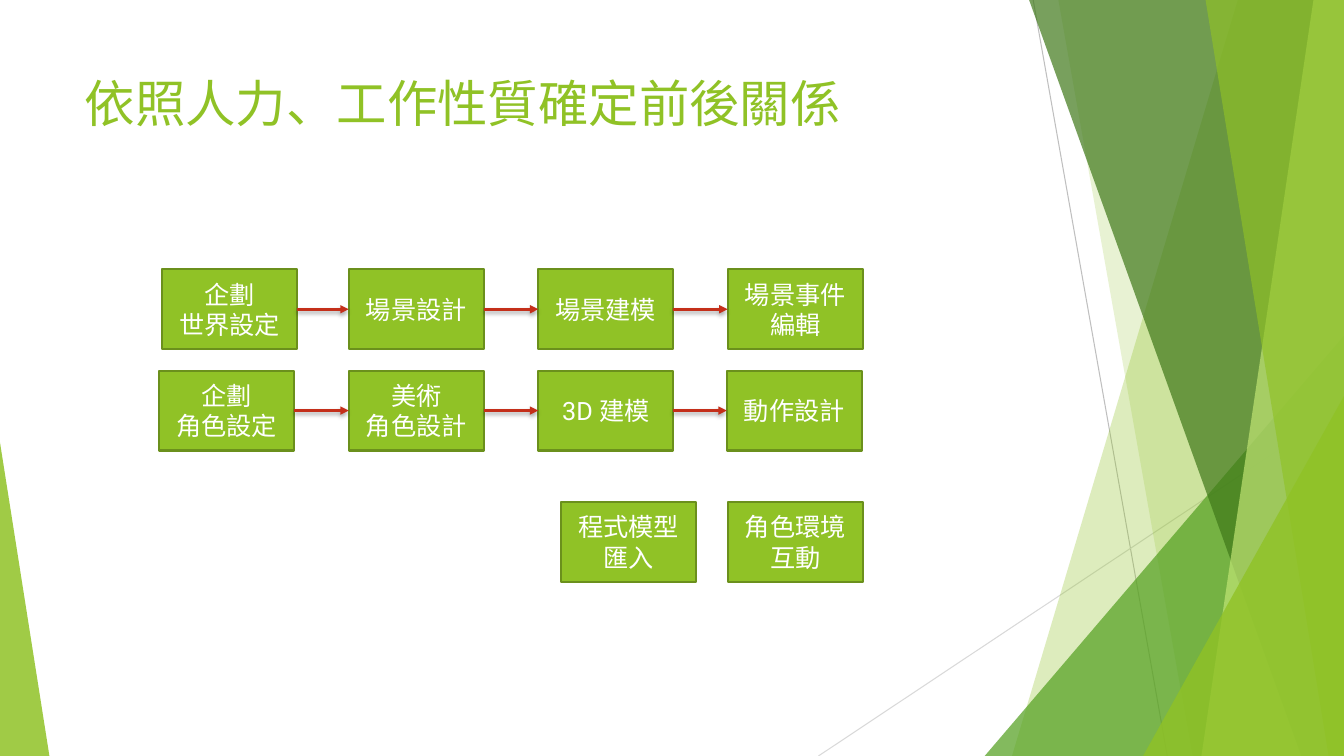
from dataclasses import dataclass
from itertools import pairwise

from lxml.etree import SubElement
from pptx import Presentation
from pptx.dml.color import RGBColor
from pptx.enum.shapes import MSO_CONNECTOR, MSO_SHAPE
from pptx.enum.text import MSO_ANCHOR, PP_ALIGN
from pptx.oxml.ns import qn
from pptx.shapes.autoshape import Shape
from pptx.shapes.connector import Connector
from pptx.slide import Slide
from pptx.util import Pt

COLORS = {
    "green": "90C226",
    "leaf": "54A021",
    "forest": "3F7819",
    "lime": "C0E474",
    "border": "6B901C",
    "arrow": "C42F1A",
    "gray": "BFBFBF",
    "light_gray": "D9D9D9",
    "white": "FFFFFF",
    "black": "000000",
}
FONT = "Roboto"
SLIDE_WIDTH, SLIDE_HEIGHT = 960, 540
BOX_WIDTH, BOX_HEIGHT = 96.5, 57
RIGHT_SIDE, LEFT_SIDE = 3, 1


@dataclass
class Band:
    """A full-height facet reaching the right edge of the slide."""
    top_x: float
    bottom_x: float
    color: str
    opacity: int


@dataclass
class Triangle:
    """A right-angled facet standing on the bottom edge."""
    left: float
    width: float
    height: float
    apex: float
    color: str
    opacity: int


@dataclass
class Ray:
    begin: tuple[float, float]
    end: tuple[float, float]
    color: str


@dataclass
class Task:
    left: float
    text: str


@dataclass
class TaskRow:
    top: float
    tasks: list[Task]
    chained: bool


RAYS = [
    Ray((738, 0), (833.8, SLIDE_HEIGHT), "gray"),
    Ray((SLIDE_WIDTH, 290.2), (584.6, SLIDE_HEIGHT), "light_gray"),
]
FACETS = [
    Band(884.2, 722.9, "green", 30),
    Band(756, 851.8, "green", 20),
    Triangle(703.4, 256.6, 300.2, 1, "leaf", 72),
    Band(735.1, 929.5, "forest", 70),
    Band(938.2, 858.2, "lime", 70),
    Band(861.1, 949, "green", 65),
    Triangle(816.5, 143.5, 257, 1, "green", 80),
    Triangle(0, 35.3, 223.9, 0, "green", 85),
]
TASK_ROWS = [
    TaskRow(192.4, [Task(115.8, "企劃\n世界設定"), Task(249.1, "場景設計"),
                    Task(384.5, "場景建模"), Task(519.8, "場景事件編輯")], True),
    TaskRow(264.8, [Task(113.6, "企劃\n角色設定"), Task(249.1, "美術\n角色設計"),
                    Task(384.5, "3D 建模"), Task(519.1, "動作設計")], True),
    TaskRow(358.6, [Task(400.8, "程式模型匯入"), Task(519.8, "角色環境互動")], False),
]


def color(name: str) -> RGBColor:
    return RGBColor.from_string(COLORS[name])


def draw_ray(slide: Slide, ray: Ray) -> None:
    connector = slide.shapes.add_connector(
        MSO_CONNECTOR.STRAIGHT, *map(Pt, ray.begin + ray.end))
    connector.line.color.rgb = color(ray.color)
    connector.line.width = Pt(0.75)
    SubElement(connector._element.spPr, qn("a:effectLst"))


def draw_facet(slide: Slide, facet: Band | Triangle) -> None:
    if isinstance(facet, Band):
        builder = slide.shapes.build_freeform(Pt(facet.top_x), 0)
        corners = [(SLIDE_WIDTH, 0), (SLIDE_WIDTH, SLIDE_HEIGHT),
                   (facet.bottom_x, SLIDE_HEIGHT)]
        builder.add_line_segments([(Pt(x), Pt(y)) for x, y in corners])
        shape = builder.convert_to_shape()
    else:
        shape = slide.shapes.add_shape(
            MSO_SHAPE.ISOSCELES_TRIANGLE, Pt(facet.left),
            Pt(SLIDE_HEIGHT - facet.height), Pt(facet.width), Pt(facet.height))
        shape.adjustments[0] = facet.apex
    shape.shadow.inherit = False
    shape.line.fill.background()
    shape.fill.solid()
    shape.fill.fore_color.rgb = color(facet.color)
    fill_color = shape._element.spPr.find(qn("a:solidFill"))[0]
    SubElement(fill_color, qn("a:alpha"), val=str(facet.opacity * 1000))


def draw_task(slide: Slide, task: Task, top: float) -> Shape:
    shape = slide.shapes.add_shape(
        MSO_SHAPE.RECTANGLE, Pt(task.left), Pt(top), Pt(BOX_WIDTH), Pt(BOX_HEIGHT))
    shape.shadow.inherit = False
    shape.fill.solid()
    shape.fill.fore_color.rgb = color("green")
    shape.line.color.rgb = color("border")
    shape.line.width = Pt(1.5)
    text_frame = shape.text_frame
    text_frame.word_wrap = True
    text_frame.vertical_anchor = MSO_ANCHOR.MIDDLE
    text_frame.text = task.text
    for paragraph in text_frame.paragraphs:
        paragraph.alignment = PP_ALIGN.CENTER
        for run in paragraph.runs:
            run.font.name = FONT
            run.font.size = Pt(18)
            run.font.color.rgb = color("white")
    return shape


def draw_arrow(slide: Slide, source: Shape, target: Shape) -> Connector:
    connector = slide.shapes.add_connector(MSO_CONNECTOR.STRAIGHT, 0, 0, 0, 0)
    connector.begin_connect(source, RIGHT_SIDE)
    connector.end_connect(target, LEFT_SIDE)
    connector.line.color.rgb = color("arrow")
    connector.line.width = Pt(2)
    properties = connector._element.spPr
    SubElement(properties.find(qn("a:ln")), qn("a:tailEnd"), type="triangle")
    # Soft shadow straight below the arrow
    effects = SubElement(properties, qn("a:effectLst"))
    shadow = SubElement(effects, qn("a:outerShdw"), blurRad=str(Pt(3)),
                        dist=str(Pt(2)), dir="5400000", rotWithShape="0")
    shadow_color = SubElement(shadow, qn("a:srgbClr"), val=COLORS["black"])
    SubElement(shadow_color, qn("a:alpha"), val="35000")
    return connector


def format_title(slide: Slide, text: str) -> None:
    title = slide.shapes.title
    title.left, title.top, title.width, title.height = map(Pt, (53.3, 48, 677, 104))
    text_frame = title.text_frame
    text_frame.word_wrap = True
    text_frame.vertical_anchor = MSO_ANCHOR.TOP
    text_frame.text = text
    paragraph = text_frame.paragraphs[0]
    paragraph.alignment = PP_ALIGN.LEFT
    font = paragraph.runs[0].font
    font.name = FONT
    font.size = Pt(36)
    font.color.rgb = color("green")


def main() -> None:
    presentation = Presentation()
    presentation.slide_width = Pt(SLIDE_WIDTH)
    presentation.slide_height = Pt(SLIDE_HEIGHT)
    slide = presentation.slides.add_slide(presentation.slide_layouts[5])

    # Background decoration
    for ray in RAYS:
        draw_ray(slide, ray)
    for facet in FACETS:
        draw_facet(slide, facet)

    format_title(slide, "依照人力、工作性質確定前後關係")

    # Task flow
    for row in TASK_ROWS:
        boxes = [draw_task(slide, task, row.top) for task in row.tasks]
        if row.chained:
            for source, target in pairwise(boxes):
                draw_arrow(slide, source, target)

    presentation.save("out.pptx")


if __name__ == "__main__":
    main()
